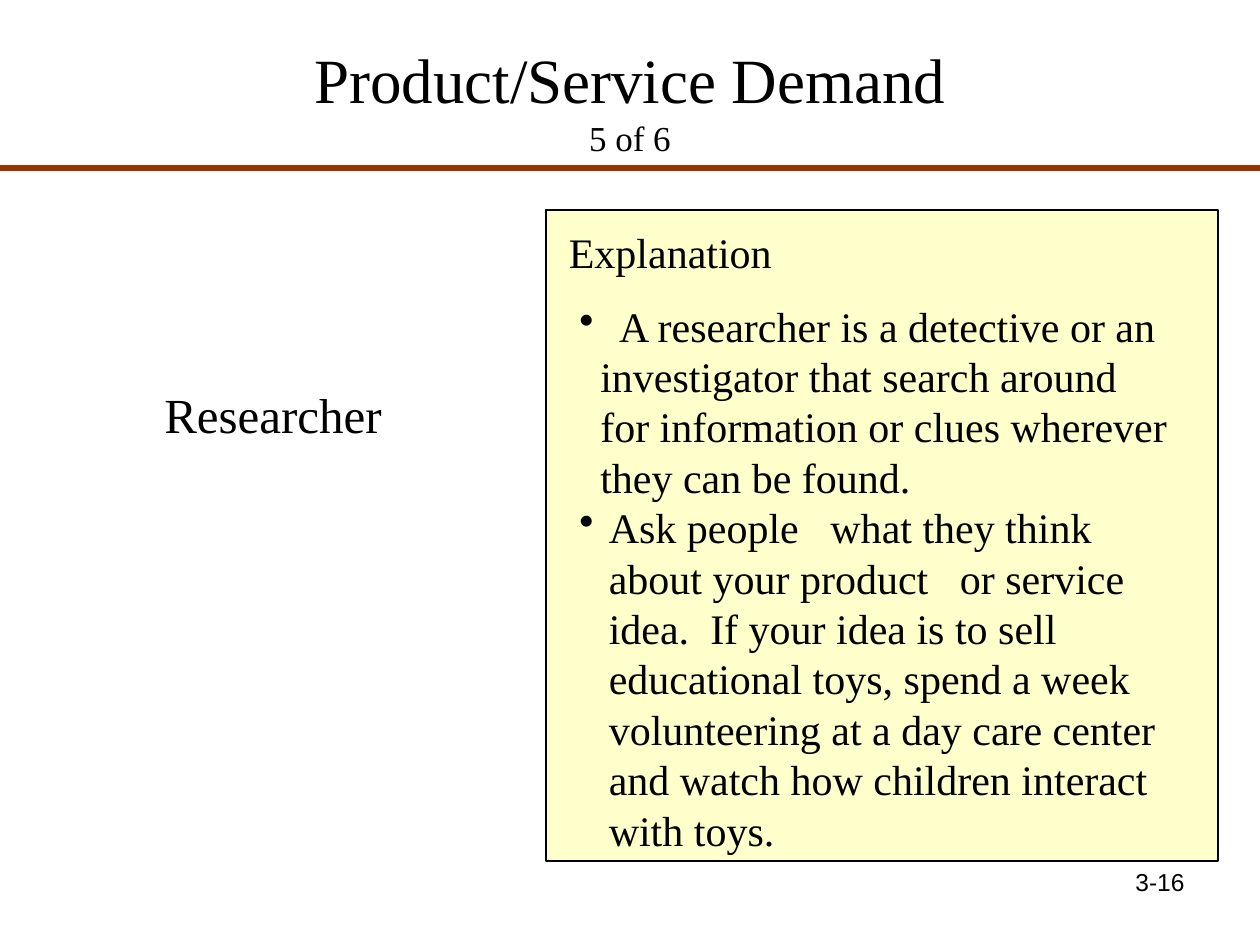
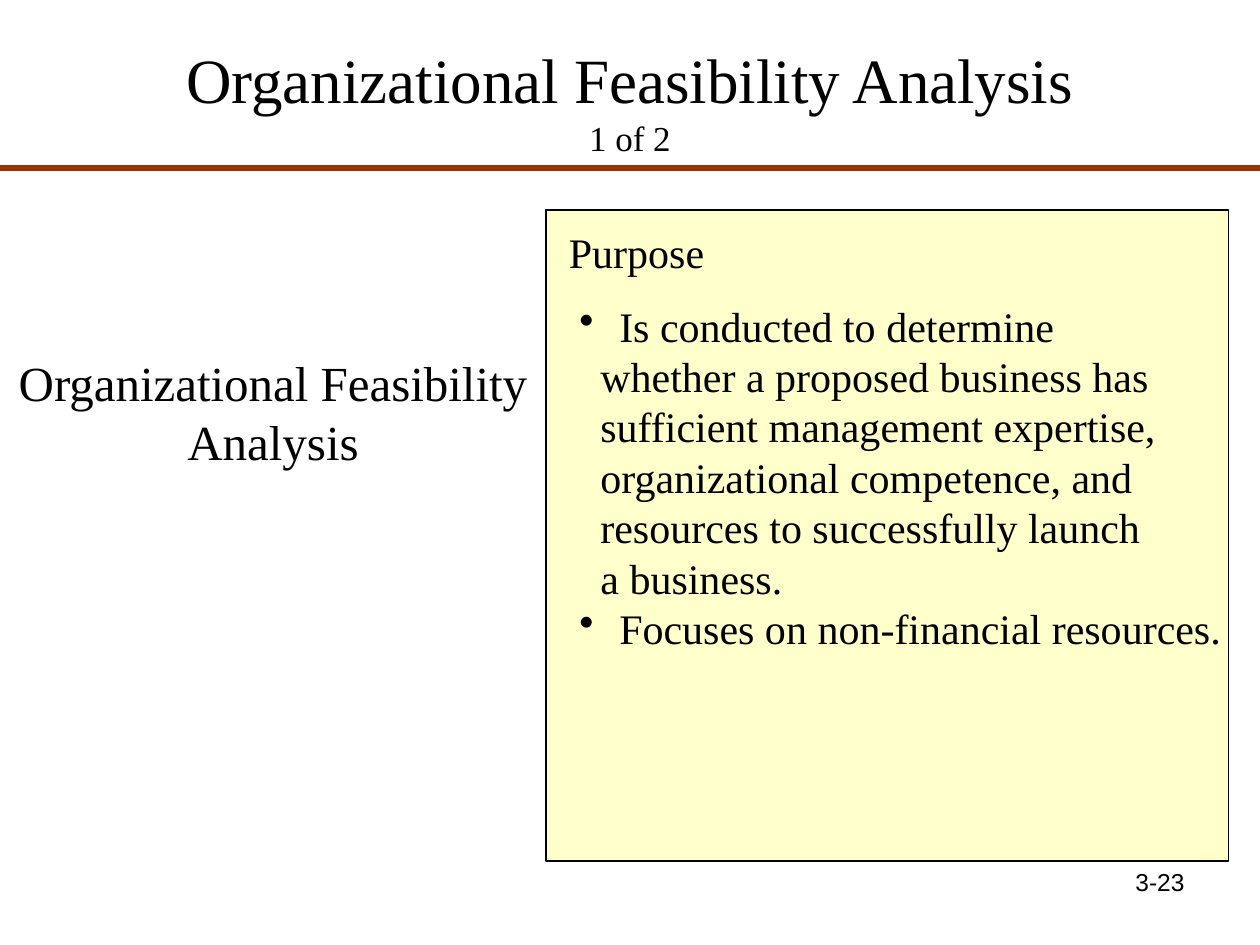
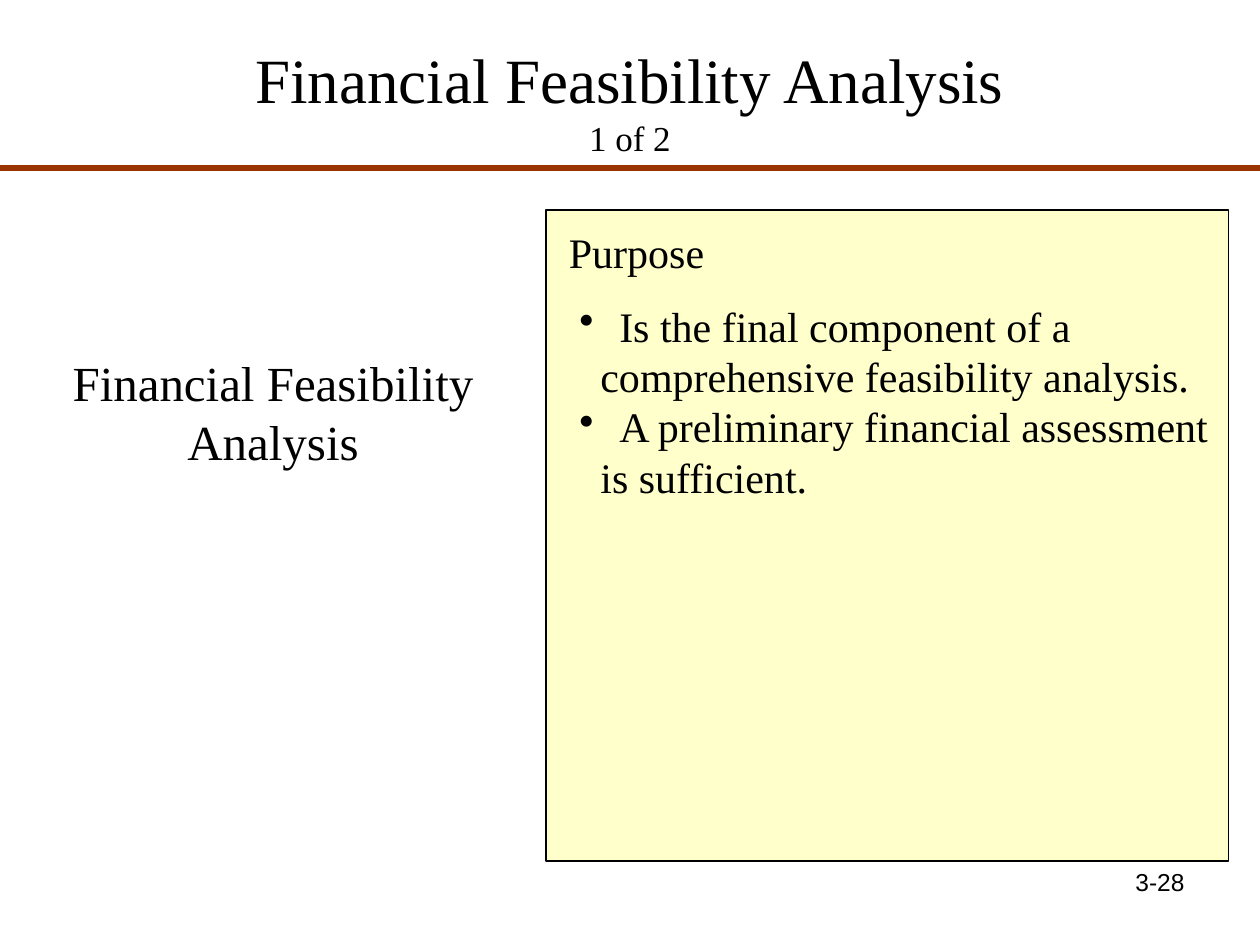
from dataclasses import dataclass
from typing import NamedTuple

from lxml import etree
from pptx import Presentation
from pptx.dml.color import RGBColor
from pptx.enum.shapes import MSO_CONNECTOR, MSO_SHAPE
from pptx.enum.text import MSO_ANCHOR, MSO_AUTO_SIZE, PP_ALIGN
from pptx.oxml.ns import qn
from pptx.util import Pt

STRAIGHT = MSO_CONNECTOR.STRAIGHT
RECTANGLE = MSO_SHAPE.RECTANGLE
TOP, MIDDLE = MSO_ANCHOR.TOP, MSO_ANCHOR.MIDDLE
FIXED, GROW = MSO_AUTO_SIZE.NONE, MSO_AUTO_SIZE.SHAPE_TO_FIT_TEXT
LEFT, CENTER, RIGHT = PP_ALIGN.LEFT, PP_ALIGN.CENTER, PP_ALIGN.RIGHT

EMU_PER_PX = 7620
SLIDE_WIDTH, SLIDE_HEIGHT = 1200, 900
RULE_Y = 160
PANEL_LEFT, PANEL_TOP, PANEL_HEIGHT = 520, 200, 620
INSET_X, INSET_Y = 12, 6
SERIF, SANS = "Times New Roman", "Arial"
COLORS = {"text": "000000", "rule": "993300", "panel": "FFFFCC"}


class Box(NamedTuple):
    left: int
    top: int
    width: int
    height: int


class Fragment(NamedTuple):
    text: str
    gap_after: int = 0


class Line(NamedTuple):
    fragments: tuple[Fragment, ...]
    indent: int
    bulleted: bool


@dataclass(frozen=True)
class TopicSlide:
    title: str
    sequence: str
    topic: str
    topic_top: int
    topic_height: int
    panel_width: int
    heading: str
    lines: tuple[Line, ...]
    lines_width: int
    lines_height: int
    number: str


def point(text: str) -> Line:
    return Line((Fragment(text),), 38, True)


def continuation(text: str) -> Line:
    return Line((Fragment(text),), 20, False)


TOPIC_SLIDES = (
    TopicSlide(
        "Product/Service Demand", "5 of 6", "Researcher", 360, 68, 640, "Explanation",
        (
            point("A researcher is a detective or an"),
            continuation("investigator that search around"),
            continuation("for information or clues wherever"),
            continuation("they can be found."),
            Line((
                Fragment("Ask people", 12),
                Fragment("what they think about your product", 12),
                Fragment("or service idea.", 6),
                Fragment("If your idea is to sell educational toys, spend a week "
                         "volunteering at a day care center and watch how children "
                         "interact with toys."),
            ), 28, True),
        ),
        610, 492, "3-16",
    ),
    TopicSlide(
        "Organizational Feasibility Analysis", "1 of 2",
        "Organizational Feasibility Analysis", 330, 125, 650, "Purpose",
        (
            point("Is conducted to determine"),
            continuation("whether a proposed business has"),
            continuation("sufficient management expertise,"),
            continuation("organizational competence, and"),
            continuation("resources to successfully launch"),
            continuation("a business."),
            point("Focuses on non-financial resources."),
        ),
        640, 348, "3-23",
    ),
    TopicSlide(
        "Financial Feasibility Analysis", "1 of 2",
        "Financial Feasibility Analysis", 330, 125, 650, "Purpose",
        (
            point("Is the final component of a"),
            continuation("comprehensive feasibility analysis."),
            point("A preliminary financial assessment"),
            continuation("is sufficient."),
        ),
        640, 252, "3-28",
    ),
)


def px(length: int) -> int:
    return length * EMU_PER_PX


def color(key: str) -> RGBColor:
    return RGBColor.from_string(COLORS[key])


def apply(target, values: dict) -> None:
    for attribute, value in values.items():
        setattr(target, attribute, value)


def add_frame(slide, box: Box, anchor=TOP, auto_size=GROW):
    frame = slide.shapes.add_textbox(*map(px, box)).text_frame
    apply(frame, {
        "word_wrap": True, "auto_size": auto_size, "vertical_anchor": anchor,
        "margin_left": px(INSET_X), "margin_right": px(INSET_X),
        "margin_top": px(INSET_Y), "margin_bottom": px(INSET_Y),
    })
    return frame


def add_run(paragraph, text: str, size: int, font: str = SERIF):
    run = paragraph.add_run()
    run.text = text
    apply(run.font, {"size": Pt(size), "name": font})
    run.font.color.rgb = color("text")
    return run


def add_label(slide, box: Box, text: str, size: int, align=LEFT,
              font: str = SERIF, auto_size=GROW) -> None:
    paragraph = add_frame(slide, box, auto_size=auto_size).paragraphs[0]
    paragraph.alignment = align
    add_run(paragraph, text, size, font)


def add_title(slide, title: str, sequence: str) -> None:
    paragraph = add_frame(slide, Box(60, 20, 1080, 150), MIDDLE, FIXED).paragraphs[0]
    paragraph.alignment = CENTER
    add_run(paragraph, title, 36)
    paragraph.add_line_break()
    add_run(paragraph, sequence, 20)


def add_rule(slide) -> None:
    rule = slide.shapes.add_connector(STRAIGHT, 0, px(RULE_Y), px(SLIDE_WIDTH), px(RULE_Y))
    rule.line.color.rgb = color("rule")
    rule.line.width = Pt(3)
    etree.SubElement(rule._element.spPr, qn("a:effectLst"))


def add_panel(slide, width: int) -> None:
    panel = slide.shapes.add_shape(
        RECTANGLE, *map(px, Box(PANEL_LEFT, PANEL_TOP, width, PANEL_HEIGHT)))
    panel.shadow.inherit = False
    panel.fill.solid()
    panel.fill.fore_color.rgb = color("panel")
    panel.line.color.rgb = color("text")
    panel.line.width = Pt(0.75)


def add_line(paragraph, line: Line) -> None:
    properties = paragraph._p.get_or_add_pPr()
    properties.set("marL", str(px(line.indent)))
    properties.set("indent", str(-px(line.indent) if line.bulleted else 0))
    if line.bulleted:
        bullet_color = etree.SubElement(properties, qn("a:buClr"))
        etree.SubElement(bullet_color, qn("a:srgbClr"), val=COLORS["text"])
        etree.SubElement(properties, qn("a:buChar"), char="•")
    for fragment in line.fragments:
        add_run(paragraph, fragment.text, 24)
        if fragment.gap_after:
            space = add_run(paragraph, " ", 24)
            space.font._element.set("spc", str(fragment.gap_after * 100))


def add_lines(slide, box: Box, lines: tuple[Line, ...]) -> None:
    frame = add_frame(slide, box)
    for index, line in enumerate(lines):
        add_line(frame.add_paragraph() if index else frame.paragraphs[0], line)


def add_topic_slide(deck, content: TopicSlide) -> None:
    slide = deck.slides.add_slide(deck.slide_layouts[6])
    add_title(slide, content.title, content.sequence)
    add_rule(slide)
    add_label(slide, Box(0, content.topic_top, PANEL_LEFT, content.topic_height),
              content.topic, 28, CENTER)
    add_panel(slide, content.panel_width)
    add_label(slide, Box(530, 210, 610, 60), content.heading, 24)
    add_lines(slide, Box(540, 280, content.lines_width, content.lines_height), content.lines)
    add_label(slide, Box(860, 820, 280, 62), content.number, 14, RIGHT, SANS, FIXED)


def main() -> None:
    deck = Presentation()
    apply(deck, {"slide_width": px(SLIDE_WIDTH), "slide_height": px(SLIDE_HEIGHT)})
    for content in TOPIC_SLIDES:
        add_topic_slide(deck, content)
    deck.save("out.pptx")


if __name__ == "__main__":
    main()
